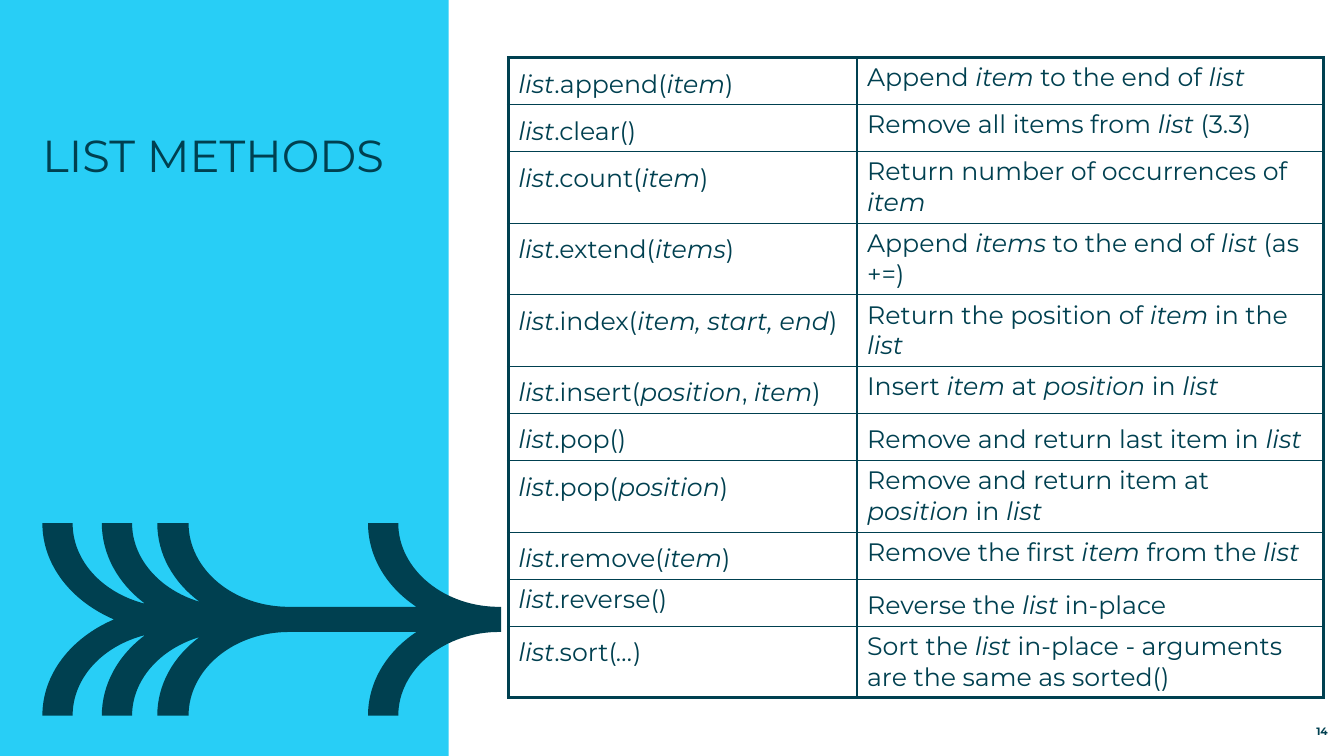
from dataclasses import dataclass
from itertools import islice

from lxml import etree
from pptx import Presentation
from pptx.dml.color import RGBColor
from pptx.enum.shapes import MSO_SHAPE
from pptx.enum.text import MSO_ANCHOR, MSO_AUTO_SIZE, PP_ALIGN
from pptx.oxml.ns import qn
from pptx.util import Inches, Pt

RECTANGLE = MSO_SHAPE.RECTANGLE
TOP, BOTTOM = MSO_ANCHOR.TOP, MSO_ANCHOR.BOTTOM
LEFT, RIGHT = PP_ALIGN.LEFT, PP_ALIGN.RIGHT
NO_AUTOFIT = MSO_AUTO_SIZE.NONE

SKY = RGBColor(0x28, 0xCE, 0xF6)
TEAL = RGBColor(0x00, 0x40, 0x50)
WHITE = RGBColor(0xFF, 0xFF, 0xFF)
FONT = "Montserrat"
THICK, THIN = Pt(2.25), Pt(1)

Point = tuple[float, float]


@dataclass(frozen=True)
class Method:
    """A table row; text between asterisks is italic."""
    call: str
    action: str
    call_spacing: float = 1.2
    action_spacing: float = 1.0


METHODS = [
    Method("*list*.append(*item*)", "Append *item* to the end of *list*"),
    Method("*list*.clear()", "Remove all items from *list *(3.3)"),
    Method("*list*.count(*item*)", "Return number of occurrences of *item*"),
    Method("*list*.extend(*items*)", "Append *items* to the end of *list *(as +=)"),
    Method("*list*.index(*item, start, end*)", "Return the position of *item* in the *list*"),
    Method("*list*.insert(*position*, *item*)", "Insert *item* at *position* in *list*"),
    Method("*list*.pop()", "Remove and return last item in *list*", action_spacing=1.2),
    Method("*list*.pop(*position*)", "Remove and return item at *position* in *list*"),
    Method("*list*.remove(*item*)", "Remove the first *item* from the *list*"),
    Method("*list*.reverse()", "Reverse the *list* in-place", 1.0, 1.2),
    Method("*list*.sort(*…*)", "Sort the *list* in-place - arguments are the same as sorted()"),
]

# Lower half of the arrow, from its tip to its notch:
# one point is a straight edge, three points are a cubic curve
ARROW_AXIS = 6.145
ARROW_TIP: Point = (4.97, 6.27)
LOWER_EDGES: list[tuple[Point, ...]] = [
    ((4.41, 6.26), (3.95, 6.64), (3.95, 7.1)),
    ((3.65, 7.1),),
    ((3.65, 6.77), (3.83, 6.47), (4.13, 6.27)),
    ((2.89, 6.27),),
    ((2.32, 6.26), (1.87, 6.64), (1.87, 7.1)),
    ((1.56, 7.1),),
    ((1.56, 6.8), (1.71, 6.52), (1.98, 6.32)),
    ((1.58, 6.44), (1.31, 6.75), (1.31, 7.1)),
    ((1.01, 7.1),),
    ((1.01, 6.8), (1.16, 6.51), (1.44, 6.3)),
    ((1.01, 6.41), (0.72, 6.73), (0.72, 7.1)),
    ((0.42, 7.1),),
    ((0.42, 6.69), (0.7, 6.33), (1.13, ARROW_AXIS)),
]


def paint(shape, color: RGBColor) -> None:
    shape.shadow.inherit = False
    shape.fill.solid()
    shape.fill.fore_color.rgb = color
    shape.line.fill.background()


def apply(target, formats: dict) -> None:
    for name, value in formats.items():
        setattr(target, name, value)


def write(paragraph, marked: str, size: float, bold: bool = False) -> None:
    for index, part in enumerate(marked.split("*")):
        if part:
            run = paragraph.add_run()
            run.text = part
            apply(run.font, {"name": FONT, "size": Pt(size), "bold": bold,
                             "italic": index % 2 == 1})
            run.font.color.rgb = TEAL


def write_frame(shape, text: str, size: float, anchor, align, bold: bool = False) -> None:
    frame = shape.text_frame
    apply(frame, {"margin_left": 0, "margin_right": 0, "margin_top": 0, "margin_bottom": 0,
                  "word_wrap": True, "auto_size": NO_AUTOFIT, "vertical_anchor": anchor})
    frame.paragraphs[0].alignment = align
    write(frame.paragraphs[0], text, size, bold)


def set_borders(cell, widths: dict[str, int]) -> None:
    properties = cell._tc.get_or_add_tcPr()
    for side, width in widths.items():
        line = etree.SubElement(properties, qn(f"a:ln{side}"), w=str(int(width)))
        fill = etree.SubElement(line, qn("a:solidFill"))
        etree.SubElement(fill, qn("a:srgbClr"), val=str(TEAL))


def fill_cell(cell, marked: str, spacing: float, widths: dict[str, int]) -> None:
    set_borders(cell, widths)
    cell.fill.solid()
    cell.fill.fore_color.rgb = WHITE
    apply(cell, {"margin_left": Inches(0.1), "margin_right": Inches(0.1),
                 "margin_top": Inches(0.05), "margin_bottom": Inches(0.05),
                 "vertical_anchor": TOP})
    paragraph = cell.text_frame.paragraphs[0]
    paragraph.line_spacing = spacing
    write(paragraph, marked, 18)


def bend_edges(outline, edge_sizes: list[int]) -> None:
    """Turn each run of three straight edges into one cubic curve."""
    corners = iter(outline.findall(qn("a:lnTo")))
    for size in edge_sizes:
        edge = list(islice(corners, size))
        if size == 3:
            curve = etree.Element(qn("a:cubicBezTo"))
            edge[0].addprevious(curve)
            for corner in edge:
                curve.append(corner[0])
                outline.remove(corner)


def add_arrow(slide):
    lower = [ARROW_TIP] + [point for edge in LOWER_EDGES for point in edge]
    upper = [(x, 2 * ARROW_AXIS - y) for x, y in reversed(lower[:-1])]
    start, *corners = [(Inches(x), Inches(y)) for x, y in lower + upper]
    builder = slide.shapes.build_freeform(*start)
    builder.add_line_segments(corners, close=True)
    arrow = builder.convert_to_shape()
    sizes = [len(edge) for edge in LOWER_EDGES]
    bend_edges(next(arrow.element.iter(qn("a:path"))), sizes + sizes[::-1])
    paint(arrow, TEAL)
    return arrow


def add_methods(slide) -> None:
    last = len(METHODS) - 1
    frame = slide.shapes.add_table(len(METHODS), 2, Inches(5.04), Inches(0.57),
                                   Inches(8.09), Inches(5.3))
    methods = frame.table
    apply(methods, {"first_row": False, "horz_banding": False})
    for column, width in zip(methods.columns, (3.46, 4.63)):
        column.width = Inches(width)
    for row, method in enumerate(METHODS):
        methods.rows[row].height = Inches(0.7 if row == last else 0.46)
        cells = ((method.call, method.call_spacing), (method.action, method.action_spacing))
        for column, (marked, spacing) in enumerate(cells):
            widths = {"L": THICK if column == 0 else THIN,
                      "R": THICK if column == 1 else THIN,
                      "T": THICK if row == 0 else THIN,
                      "B": THICK if row == last else THIN}
            fill_cell(methods.cell(row, column), marked, spacing, widths)


def main() -> None:
    deck = Presentation()
    apply(deck, {"slide_width": Inches(13.33), "slide_height": Inches(7.5)})
    slide = deck.slides.add_slide(deck.slide_layouts[5])

    # Side panel with arrow
    panel = slide.shapes.add_shape(RECTANGLE, 0, 0, Inches(4.45), Inches(7.5))
    paint(panel, SKY)
    arrow = add_arrow(slide)

    # Title, brought in front of the panel
    title = slide.shapes.title
    apply(title, {"left": Inches(0.42), "top": Inches(1.27),
                  "width": Inches(3.77), "height": Inches(3.01)})
    write_frame(title, "LIST METHODS", 32, TOP, LEFT)
    arrow.element.addnext(title.element)

    # Methods and page number
    add_methods(slide)
    page_number = slide.shapes.add_textbox(Inches(12.31), Inches(7.12), Inches(0.86), Inches(0.2))
    write_frame(page_number, "14", 7.6, BOTTOM, RIGHT, bold=True)

    deck.save("out.pptx")


if __name__ == "__main__":
    main()
